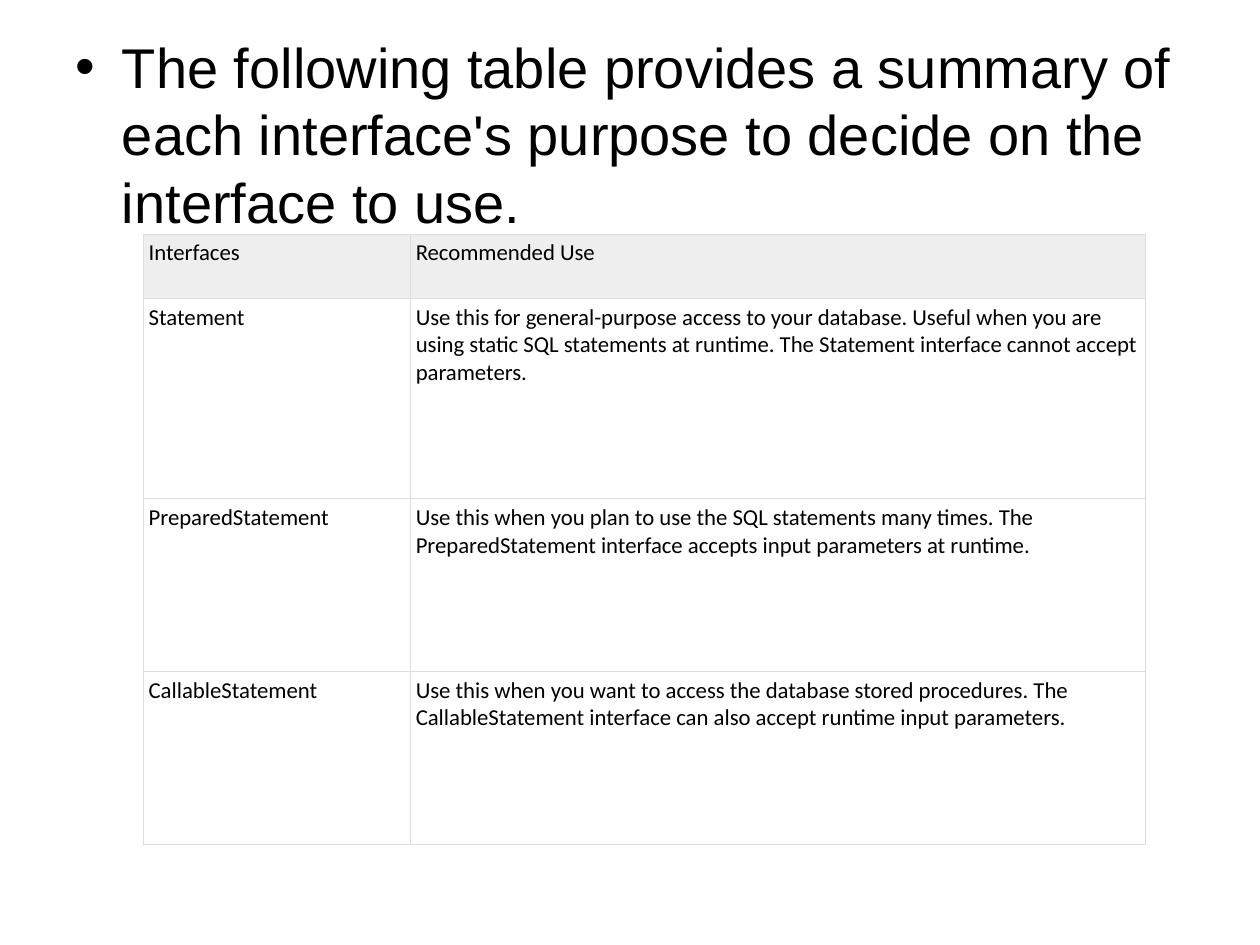
import pptx
import pptx.util
import pptx.dml.color
import pptx.oxml
import pptx.oxml.ns
from dataclasses import dataclass
from pptx.util import Inches


@dataclass(frozen=True)
class Theme:
    ink: str = "000000"
    head: str = "EEEEEE"
    rule: str = "DDDDDD"
    lead: str = "Arial"
    body: str = "Calibri"
    big: int = 32
    small: int = 13
    line: float = 0.5


theme = Theme()

USES = [
    ("Interfaces", "Recommended Use"),
    ("Statement", "Use this for general-purpose access to your database. "
     "Useful when you are using static SQL statements at runtime. "
     "The Statement interface cannot accept parameters."),
    ("PreparedStatement", "Use this when you plan to use the SQL statements "
     "many times. The PreparedStatement interface accepts input parameters "
     "at runtime."),
    ("CallableStatement", "Use this when you want to access the database "
     "stored procedures. The CallableStatement interface can also accept "
     "runtime input parameters."),
]


def color(code):
    return pptx.dml.color.RGBColor.from_string(code)


def style(para, face, size):
    para.font.name = face
    para.font.size = pptx.util.Pt(size)
    para.font.color.rgb = color(theme.ink)


def node(tag, text=""):
    space = pptx.oxml.ns.nsdecls("a")
    tag, _, attrs = tag.partition(" ")
    return pptx.oxml.parse_xml(f"<a:{tag} {space} {attrs}>{text}</a:{tag}>")


def intro(slide, left, top, width, height):
    frame = slide.shapes.add_textbox(left, top, width, height).text_frame
    frame.word_wrap = True
    para = frame.paragraphs[0]
    para.text = ("The following table provides a summary of each interface's "
                 "purpose to decide on the interface to use.")
    style(para, theme.lead, theme.big)
    props = para._p.get_or_add_pPr()
    indent = Inches(0.37)
    props.set("marL", str(indent))
    props.set("indent", str(-indent))
    props.append(node(f'buFont typeface="{theme.lead}"'))
    props.append(node('buChar char="•"'))
    props.append(props.find(pptx.oxml.ns.qn("a:defRPr")))


def border(cell):
    props = cell._tc.get_or_add_tcPr()
    width = pptx.util.Pt(theme.line)
    fill = f'<a:solidFill><a:srgbClr val="{theme.rule}"/></a:solidFill>'
    for spot, side in enumerate(("lnL", "lnR", "lnT", "lnB")):
        props.insert(spot, node(f'{side} w="{width}"', fill))


def grid(slide, left, top, width, height):
    table = slide.shapes.add_table(
        len(USES), len(USES[0]), left, top, width, height).table
    table.first_row = table.horz_banding = False
    first = Inches(2.12)
    table.columns[0].width = first
    table.columns[1].width = width - first
    for row, size in zip(table.rows, (0.51, 1.59, 1.37, 1.37)):
        row.height = Inches(size)
    for r, texts in enumerate(USES):
        for c, text in enumerate(texts):
            cell = table.cell(r, c)
            cell.text = text
            style(cell.text_frame.paragraphs[0], theme.body, theme.small)
            cell.margin_left = cell.margin_right = Inches(0.04)
            cell.margin_top = cell.margin_bottom = Inches(0.04)
            if r == 0:
                cell.fill.solid()
                cell.fill.fore_color.rgb = color(theme.head)
            else:
                cell.fill.background()
            border(cell)


def main():
    deck = pptx.Presentation()
    deck.slide_width, deck.slide_height = Inches(10), Inches(7.5)
    slide = deck.slides.add_slide(deck.slide_layouts[6])
    intro(slide, Inches(0.5), Inches(0.21), Inches(9), Inches(6.49))
    grid(slide, Inches(1.14), Inches(1.86), Inches(7.95), Inches(4.84))
    deck.save("out.pptx")


if __name__ == "__main__":
    main()
